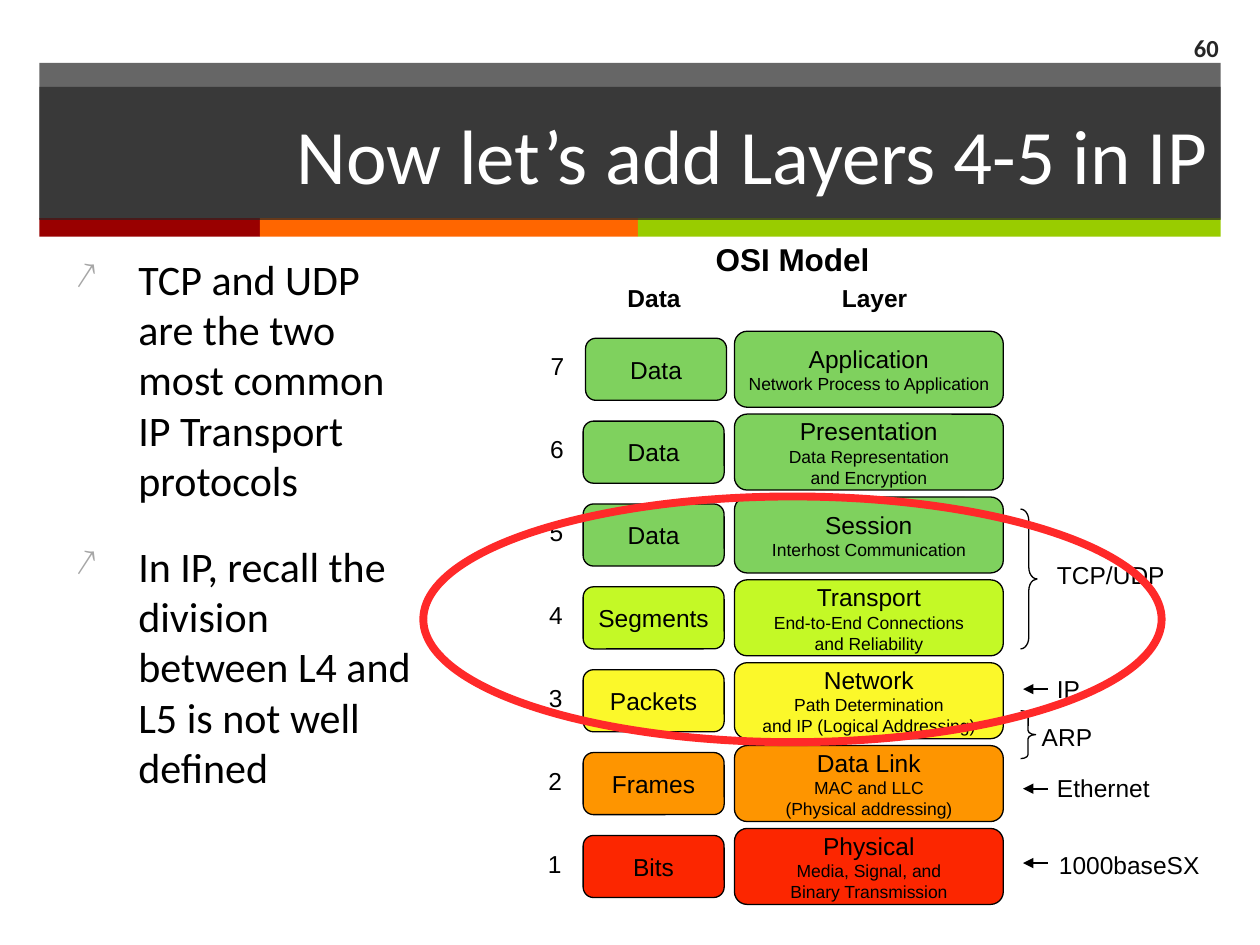
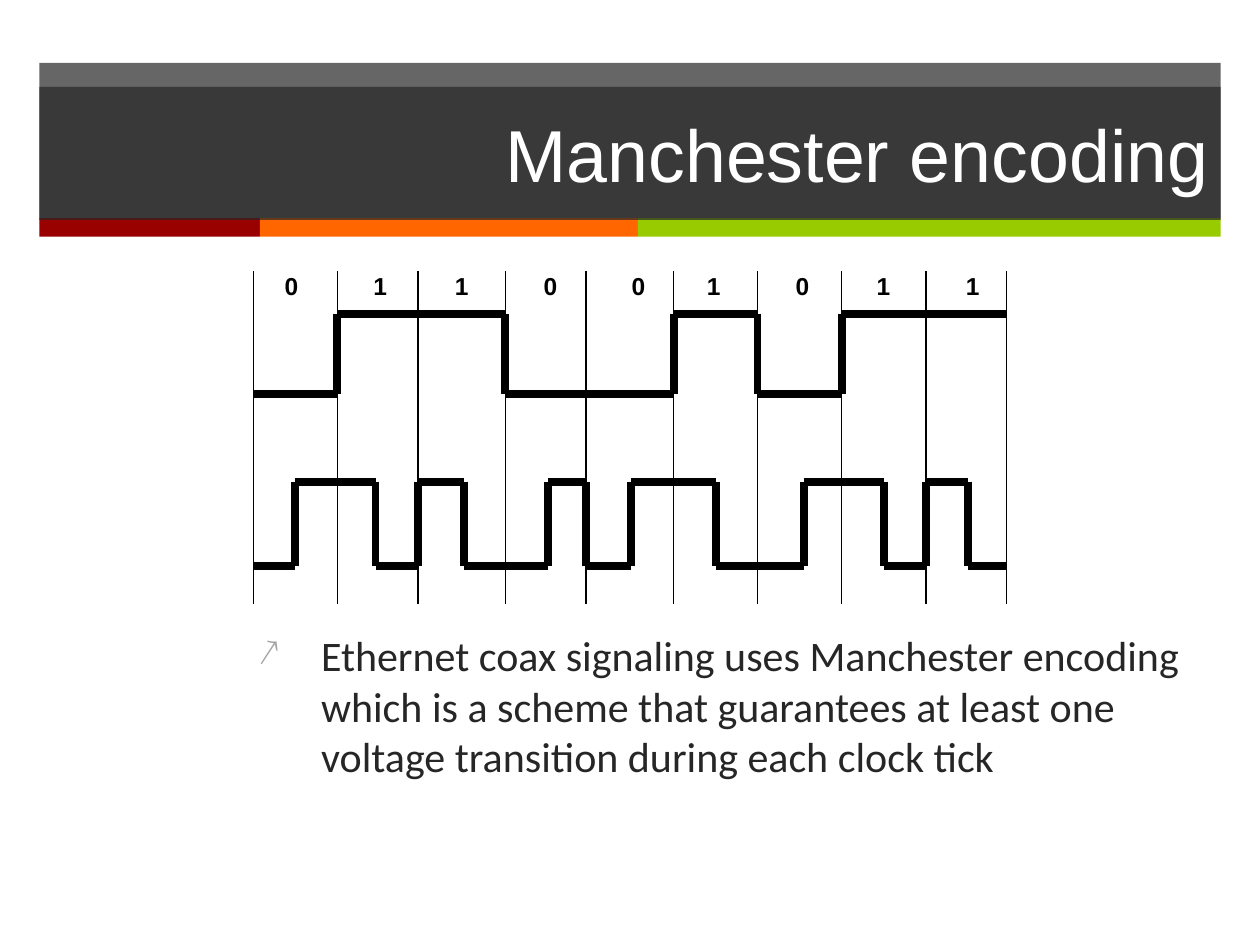
from itertools import pairwise

from lxml import etree
from pptx import Presentation
from pptx.dml.color import RGBColor
from pptx.enum import shapes, text
from pptx.oxml import ns
from pptx.util import Pt

KINDS = shapes.MSO_SHAPE
LEFT, CENTER, RIGHT = text.PP_ALIGN.LEFT, text.PP_ALIGN.CENTER, text.PP_ALIGN.RIGHT
TOP, MIDDLE = text.MSO_ANCHOR.TOP, text.MSO_ANCHOR.MIDDLE
BLACK, CHARCOAL, WHITE = "000000", "262626", "FFFFFF"
STRIPS = [(22.5, 126, "990000"), (148.5, 216, "FF6600"), (364.5, 333, "99CC00")]


def add_box(page, kind, at, lines=(), fill=None, line=None, weight=0.75,
            opacity=100, align=LEFT, anchor=TOP, wrap=True, bullet=False, adjust=None,
            **look):
    at = [Pt(value) for value in at]
    if kind:
        box = page.shapes.add_shape(kind, *at)
        box.shadow.inherit = False
    else:
        box = page.shapes.add_textbox(*at)
    if fill:
        box.fill.solid()
        box.fill.fore_color.rgb = RGBColor.from_string(fill)
        if opacity < 100:
            tint = box.fill._xPr.find(".//" + ns.qn("a:srgbClr"))
            etree.SubElement(tint, ns.qn("a:alpha"), val=str(opacity * 1000))
    else:
        box.fill.background()
    if line:
        box.line.color.rgb = RGBColor.from_string(line)
        box.line.width = Pt(weight)
    else:
        box.line.fill.background()
    if adjust:
        box.adjustments[0] = adjust
    frame = box.text_frame
    for key, value in {"word_wrap": wrap, "vertical_anchor": anchor}.items():
        setattr(frame, key, value)
    for index, (words, size) in enumerate(lines):
        para = frame.add_paragraph() if index else frame.paragraphs[0]
        para.alignment = align
        if bullet:
            props = para._p.get_or_add_pPr()
            props.set("marL", str(Pt(36)))
            props.set("indent", str(-Pt(36)))
            tint = etree.SubElement(props, ns.qn("a:buClr"))
            etree.SubElement(tint, ns.qn("a:srgbClr"), val="A6A6A6")
            etree.SubElement(props, ns.qn("a:buSzPct"), val="90000")
            etree.SubElement(props, ns.qn("a:buChar"), char="↗")
            if index:
                para.space_before = Pt(20)
        span = para.add_run()
        span.text = words
        formats = {"name": "Arial", "size": Pt(size), "bold": False} | look
        tone = formats.pop("tone", BLACK)
        for key, value in formats.items():
            setattr(span.font, key, value)
        span.font.color.rgb = RGBColor.from_string(tone)
    return box


def add_line(page, start, end, weight, arrow=False):
    ends = [Pt(value) for value in (*start, *end)]
    link = page.shapes.add_connector(shapes.MSO_CONNECTOR.STRAIGHT, *ends)
    link.line.color.rgb = RGBColor.from_string(BLACK)
    link.line.width = Pt(weight)
    props = link._element.spPr
    if arrow:
        etree.SubElement(props.find(ns.qn("a:ln")), ns.qn("a:headEnd"), type="triangle")
    etree.SubElement(props, ns.qn("a:effectLst"))


deck = Presentation()
deck.slide_width, deck.slide_height = Pt(720), Pt(540)

pages = []
for title, size, face in [("Now let’s add Layers 4-5 in IP", 44, "Calibri"),
                          ("Manchester encoding", 42, "Arial")]:
    page = deck.slides.add_slide(deck.slide_layouts[6])
    add_box(page, KINDS.RECTANGLE, (22.5, 36, 675, 89), fill=CHARCOAL, opacity=70)
    for left, width, colour in STRIPS:
        add_box(page, KINDS.RECTANGLE, (left, 124.6, width, 10.6), fill=colour)
    add_box(page, KINDS.RECTANGLE, (22.5, 49.7, 675, 76), [(title, size)],
            fill=CHARCOAL, opacity=70, align=RIGHT, anchor=MIDDLE, name=face, tone=WHITE)
    pages.append(page)
osi, signal = pages

add_box(osi, None, (36, 141.1, 206.6, 393),
        [("TCP and UDP are the two most common IP Transport protocols", 24),
         ("In IP, recall the division between L4 and L5 is not well defined", 24)],
        bullet=True, name="Calibri")

LAYERS = [
    ("Data", "7FD15E", ["Application", "Network Process to Application"]),
    ("Data", "7FD15E", ["Presentation", "Data Representation", "and Encryption"]),
    ("Data", "7FD15E", ["Session", "Interhost Communication"]),
    ("Segments", "C4F926", ["Transport", "End-to-End Connections", "and Reliability"]),
    ("Packets", "FBF82A", ["Network", "Path Determination", "and IP (Logical Addressing)"]),
    ("Frames", "FE9500", ["Data Link", "MAC and LLC", "(Physical addressing)"]),
    ("Bits", "FC2600", ["Physical", "Media, Signal, and", "Binary Transmission"]),
]
for row, (unit, colour, (layer, *details)) in enumerate(LAYERS):
    top = 189.3 + 47.35 * row
    card = dict(fill=colour, line=BLACK, align=CENTER, anchor=MIDDLE, wrap=False,
                adjust=0.167)
    unit_left = 333.2 if row else 334.6
    add_box(osi, KINDS.ROUNDED_RECTANGLE, (unit_left, top + 4, 80.6, 35.5),
            [(unit, 14)], **card)
    add_box(osi, KINDS.ROUNDED_RECTANGLE, (419.7, top, 153.6, 43.4),
            [(layer, 14)] + [(detail, 10) for detail in details], **card)
    add_box(osi, None, (307.5 - 0.25 * row, top + 8, 22.3, 24), [(str(7 - row), 14)])

for heading, size, at in [("OSI Model", 18, (316.8, 133.6, 272.2, 29)),
                          ("Data", 14, (334.5, 158.4, 78.5, 24.5)),
                          ("Layer", 14, (427.4, 158.4, 144.7, 24.5))]:
    add_box(osi, None, at, [(heading, size)], align=CENTER, bold=True)

for protocol, left, top, width in [("TCP/UDP", 596.9, 316.5, 84), ("IP", 596.9, 381.6, 36),
                                   ("ARP", 588.2, 409, 52), ("Ethernet", 596.9, 438, 76),
                                   ("1000baseSX", 598, 482.4, 112)]:
    add_box(osi, None, (left, top, width, 24), [(protocol, 14)])
for top, width, height, curve in [(290.9, 9.4, 79.9, 0.71), (406.1, 8.6, 27.4, 0.27)]:
    add_box(osi, KINDS.RIGHT_BRACE, (583.2, top, width, height), line=BLACK, adjust=curve)
for height in (393.8, 450.7, 493.2):
    add_line(osi, (584.6, height), (599, height), 1, arrow=True)

add_box(osi, None, (653.8, 13, 49.7, 28), [("60", 14)], align=RIGHT, anchor=MIDDLE,
        name="Calibri", tone=CHARCOAL, bold=True)
add_box(osi, KINDS.OVAL, (241.9, 283.7, 421.9, 140.4), line="FF2929", weight=4.5)

add_box(signal, None, (140.4, 356.4, 557.3, 172.8),
        [("Ethernet coax signaling uses Manchester encoding which is a scheme that "
          "guarantees at least one voltage transition during each clock tick", 24)],
        bullet=True, name="Calibri", tone=CHARCOAL)

BITS = "011001011"
TICKS = [144.7, 192.7, 238.8, 288.7, 334.8, 385, 432.9, 481, 529.2, 575.3]
MIDDLES = [168.5, 214.6, 265, 313.2, 360.7, 409, 459.4, 505.4, 553]
DIGIT_TABS = [54.6, 101.1, 151.9, 202.2, 245.1, 295.9, 342.2, 393.1]

digits = add_box(signal, None, (159.8, 153.7, 410.4, 15.8), [("\t".join(BITS), 14)], bold=True)
for side, inset in {"left": 2.9, "right": 2.9, "top": 1.4, "bottom": 1.4}.items():
    setattr(digits.text_frame, "margin_" + side, Pt(inset))
stops = etree.SubElement(digits.text_frame.paragraphs[0]._p.get_or_add_pPr(),
                         ns.qn("a:tabLst"))
for stop in DIGIT_TABS:
    etree.SubElement(stops, ns.qn("a:tab"), pos=str(Pt(stop)), algn="ctr")

plain, manchester = [], []
for bit, (start, end), middle in zip(BITS, pairwise(TICKS), MIDDLES):
    level = 179.2 if bit == "1" else 225.2
    plain += [(start, level), (end, level)]
    first, second = (275.2, 323.2) if bit == "1" else (323.2, 275.2)
    manchester += [(start, first), (middle, first), (middle, second), (end, second)]
for wave in (plain, manchester):
    for start, end in pairwise(wave):
        if start != end:
            add_line(signal, start, end, 4.5)
for tick in TICKS:
    add_line(signal, (tick, 154.8), (tick, 345.2), 0.75)

deck.save("out.pptx")
